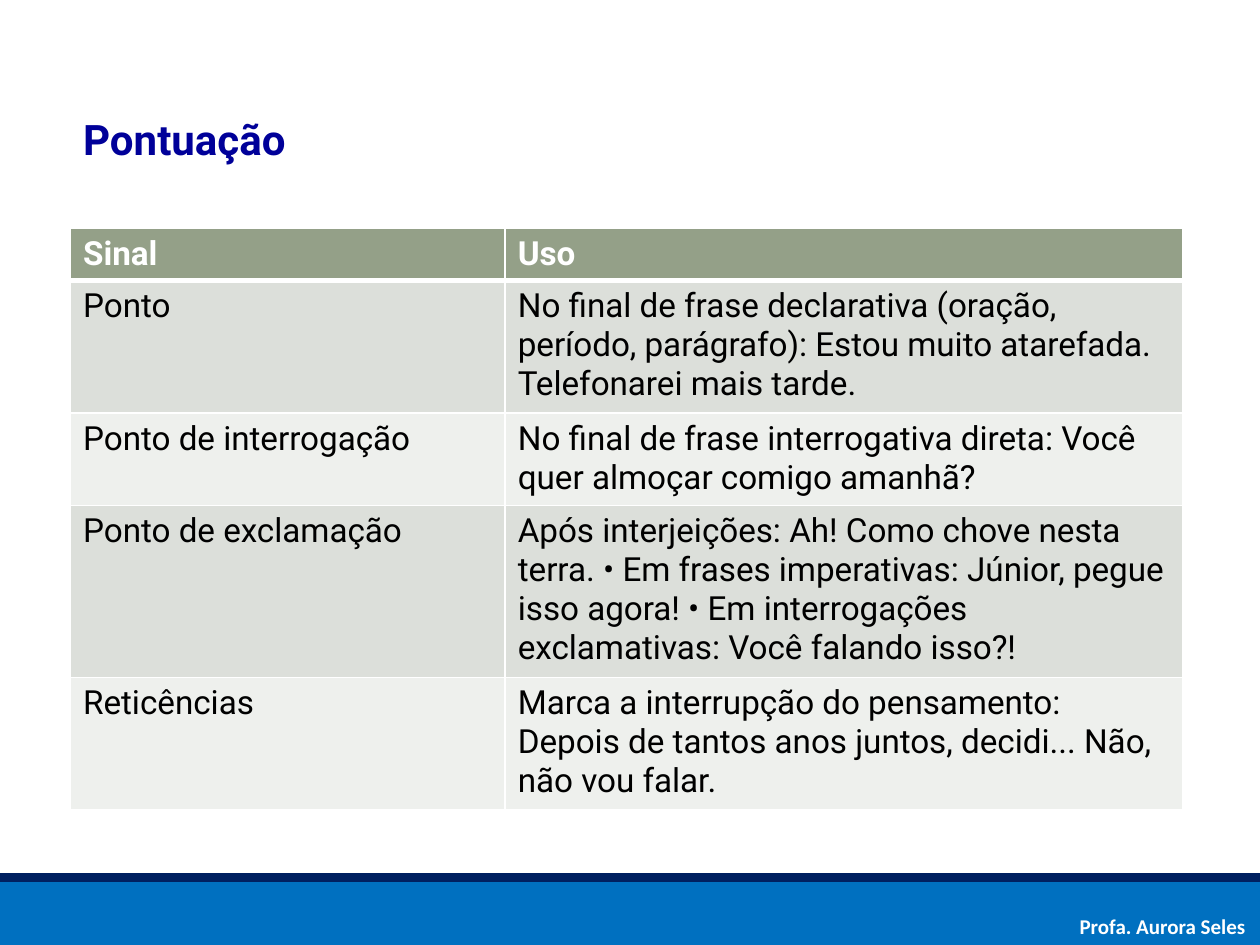
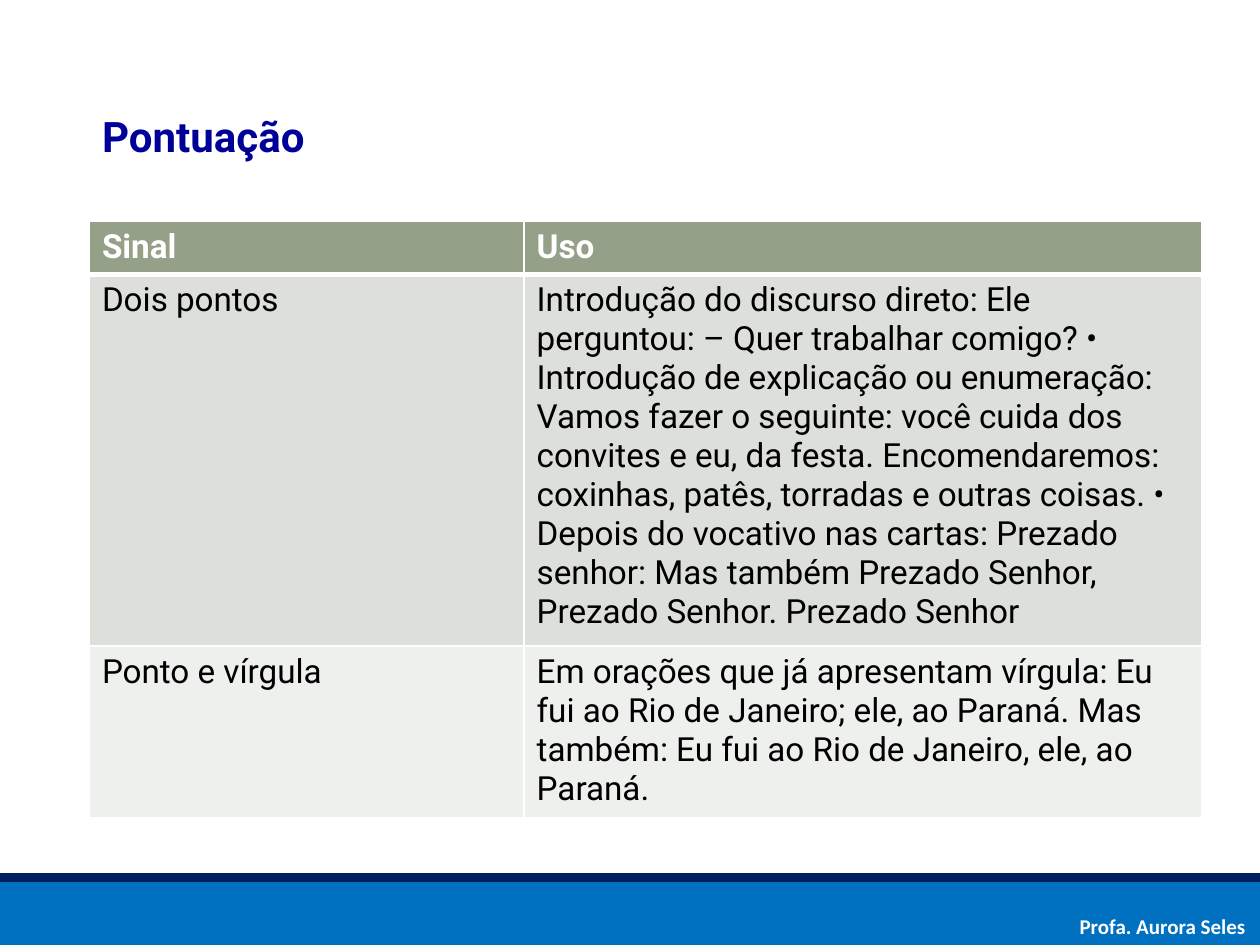
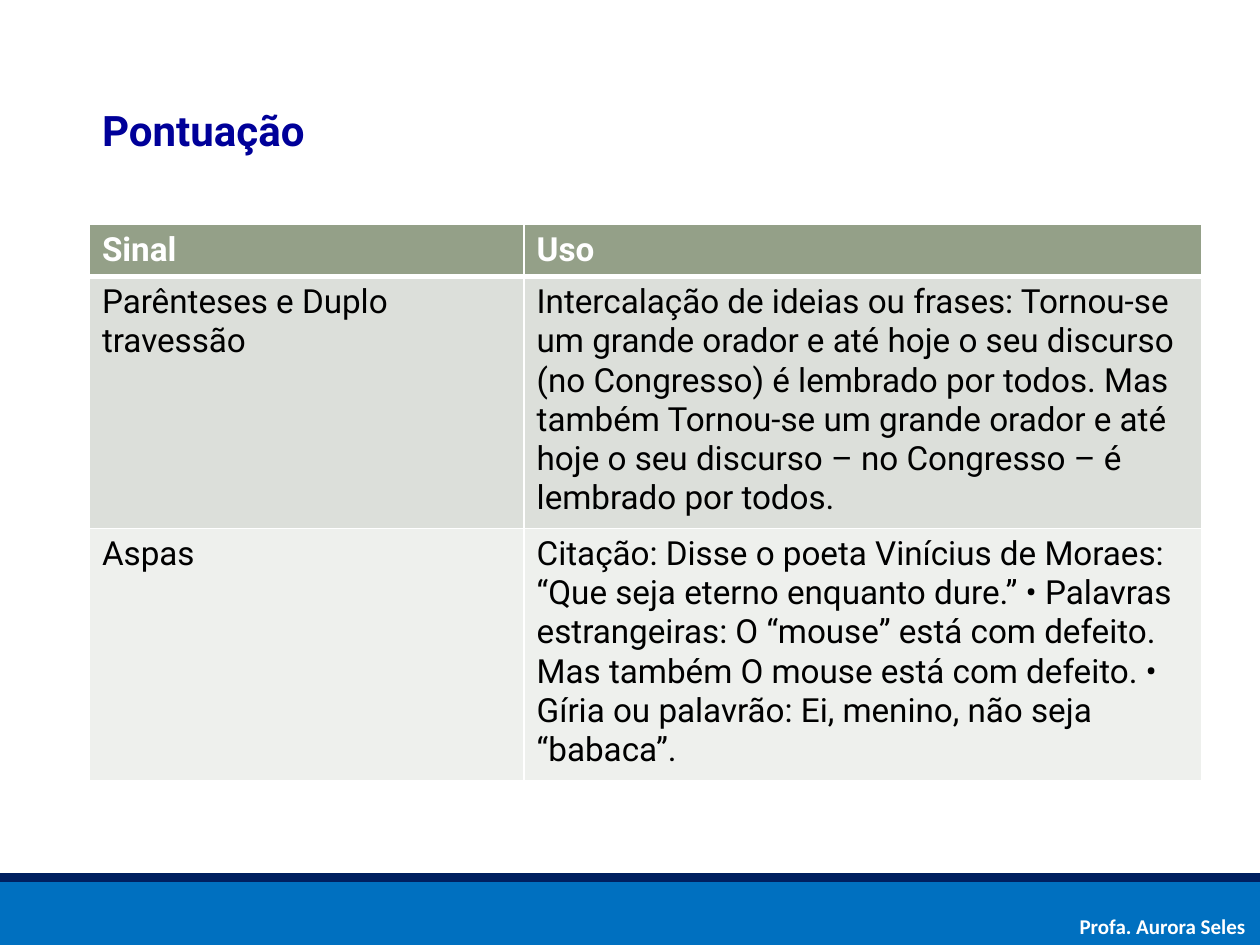
from lxml.etree import SubElement
from pptx import Presentation
from pptx.dml.color import RGBColor
from pptx.enum.shapes import MSO_SHAPE
from pptx.enum.text import MSO_ANCHOR, MSO_AUTO_SIZE, PP_ALIGN
from pptx.oxml.ns import qn
from pptx.util import Inches, Pt

BLUE, NAVY, TITLE = "0070C0", "002060", "000099"
WHITE, BLACK = "FFFFFF", "000000"
HEAD, BANDS = "94A088", ("DCDFDA", "EEF0ED")
COLS, ROW = (3.45, 5.38), 0.41
HEADER = ("Sinal", "Uso")

SLIDES = [
    (0.56, 0.85, 1.81, [
        ("Ponto",
         "No final de frase declarativa (oração, período, parágrafo): "
         "Estou muito atarefada. Telefonarei mais tarde."),
        ("Ponto de interrogação",
         "No final de frase interrogativa direta: "
         "Você quer almoçar comigo amanhã?"),
        ("Ponto de exclamação",
         "Após interjeições: Ah! Como chove nesta terra. "
         "• Em frases imperativas: Júnior, pegue isso agora! "
         "• Em interrogações exclamativas: Você falando isso?!"),
        ("Reticências",
         "Marca a interrupção do pensamento: Depois de tantos anos "
         "juntos, decidi... Não, não vou falar."),
    ]),
    (0.71, 0.83, 1.76, [
        ("Dois pontos",
         "Introdução do discurso direto: Ele perguntou: – Quer trabalhar "
         "comigo? • Introdução de explicação ou enumeração: Vamos fazer o "
         "seguinte: você cuida dos convites e eu, da festa. Encomendaremos: "
         "coxinhas, patês, torradas e outras coisas. • Depois do vocativo "
         "nas cartas: Prezado senhor: Mas também Prezado Senhor, Prezado "
         "Senhor. Prezado Senhor"),
        ("Ponto e vírgula",
         "Em orações que já apresentam vírgula: Eu fui ao Rio de Janeiro; "
         "ele, ao Paraná. Mas também: Eu fui ao Rio de Janeiro, ele, ao "
         "Paraná."),
    ]),
    (0.71, 0.78, 1.78, [
        ("Parênteses e Duplo travessão",
         "Intercalação de ideias ou frases: Tornou-se um grande orador e "
         "até hoje o seu discurso (no Congresso) é lembrado por todos. Mas "
         "também Tornou-se um grande orador e até hoje o seu discurso – no "
         "Congresso – é lembrado por todos."),
        ("Aspas",
         "Citação: Disse o poeta Vinícius de Moraes: “Que seja eterno "
         "enquanto dure.” • Palavras estrangeiras: O “mouse” está com "
         "defeito. Mas também O mouse está com defeito. • Gíria ou "
         "palavrão: Ei, menino, não seja “babaca”."),
    ]),
]


def paint(fill, color):
    """Give a fill one solid colour."""
    fill.solid()
    fill.fore_color.rgb = RGBColor.from_string(color)


def write(frame, text, size, color, bold=True, font="Roboto"):
    """Add one left-aligned run to the first paragraph of a frame."""
    para = frame.paragraphs[0]
    para.alignment = PP_ALIGN.LEFT
    run = para.add_run()
    run.text = text
    run.font.name, run.font.size, run.font.bold = font, Pt(size), bold
    paint(run.font.fill, color)


def add_title(slide, left, top, width=9.14, height=1.21):
    """Place and format the title."""
    title = slide.shapes.title
    title.left, title.top = Inches(left), Inches(top)
    title.width, title.height = Inches(width), Inches(height)
    frame = title.text_frame
    frame.auto_size = MSO_AUTO_SIZE.NONE
    frame.vertical_anchor = MSO_ANCHOR.TOP
    write(frame, "Pontuação", 24, TITLE)


def add_foot(slide, top=6.93):
    """Draw the two bands and the name at the foot of the slide."""
    for drop, height, color in ((0.07, 0.5, BLUE), (0, 0.07, NAVY)):
        band = slide.shapes.add_shape(
            MSO_SHAPE.RECTANGLE, 0, Inches(top + drop), Inches(10), Inches(height))
        band.shadow.inherit = False
        paint(band.fill, color)
        band.line.fill.background()
    box = slide.shapes.add_textbox(
        Inches(8.47), Inches(top + 0.27), Inches(1.53), Inches(0.3))
    box.text_frame.word_wrap = False
    box.text_frame.auto_size = MSO_AUTO_SIZE.SHAPE_TO_FIT_TEXT
    write(box.text_frame, "Profa. Aurora Seles", 12, WHITE, font="Calibri")


def add_rules(cell, row):
    """Draw white cell borders, thick below the header."""
    props = cell._tc.get_or_add_tcPr()
    for side in "LRTB":
        thick = (row, side) in ((0, "B"), (1, "T"))
        line = SubElement(props, qn(f"a:ln{side}"), w=str(Pt(3 if thick else 1)))
        fill = SubElement(line, qn("a:solidFill"))
        SubElement(fill, qn("a:srgbClr"), val=WHITE)


def add_grid(slide, left, top, items):
    """Build the table of signs and their uses."""
    rows = [HEADER, *items]
    table = slide.shapes.add_table(
        len(rows), len(COLS), Inches(left), Inches(top),
        Inches(sum(COLS)), Inches(ROW * len(rows))).table
    for col, width in zip(table.columns, COLS):
        col.width = Inches(width)
    for r, texts in enumerate(rows):
        table.rows[r].height = Inches(ROW)
        for c, text in enumerate(texts):
            cell = table.cell(r, c)
            add_rules(cell, r)
            paint(cell.fill, BANDS[(r - 1) % 2] if r else HEAD)
            write(cell.text_frame, text, 19, BLACK if r else WHITE, r == 0)


def main():
    """Build and save the slides."""
    deck = Presentation()
    deck.slide_width, deck.slide_height = Inches(10), Inches(7.5)
    for left, head, top, items in SLIDES:
        slide = deck.slides.add_slide(deck.slide_layouts[5])
        add_foot(slide)
        add_title(slide, left, head)
        add_grid(slide, left, top, items)
    deck.save("out.pptx")


if __name__ == "__main__":
    main()
